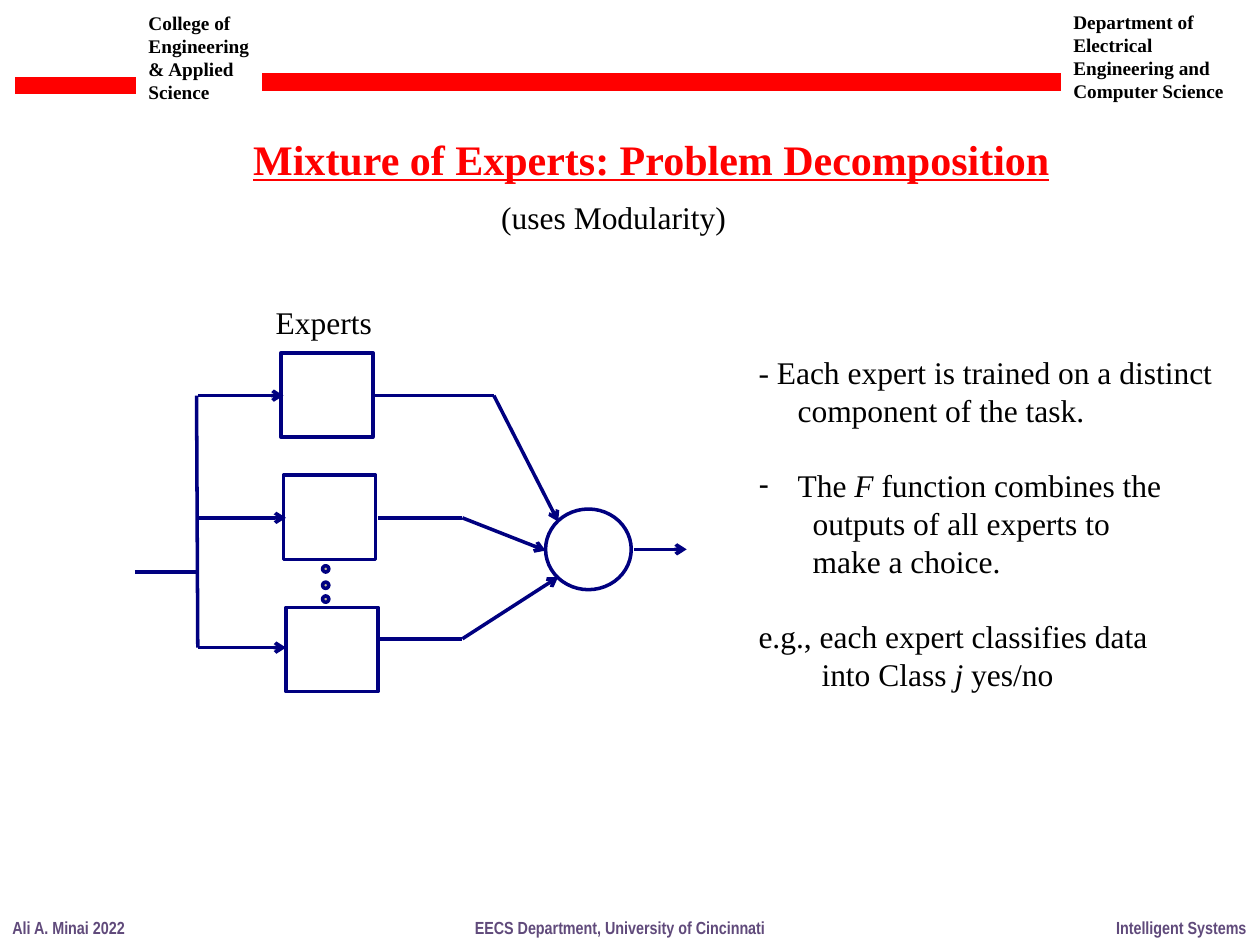
from lxml.etree import SubElement
from pptx import Presentation
from pptx.dml.color import RGBColor
from pptx.enum.shapes import MSO_CONNECTOR, MSO_SHAPE
from pptx.enum.text import MSO_ANCHOR, MSO_AUTO_SIZE, PP_ALIGN
from pptx.oxml.ns import qn
from pptx.util import Inches, Pt

RED = RGBColor(0xFF, 0x00, 0x00)
NAVY = RGBColor(0x00, 0x00, 0x80)
BLACK = RGBColor(0x00, 0x00, 0x00)
PURPLE = RGBColor(0x60, 0x4A, 0x7B)
TAN = RGBColor(0xC4, 0xBD, 0x97)
SERIF = "Times New Roman"

prs = Presentation()
prs.slide_width, prs.slide_height = Inches(10), Inches(7.5)
slide = prs.slides.add_slide(prs.slide_layouts[1])
shapes = slide.shapes


def write(box, at, lines, size, color, bold=False, name=SERIF, wrap=False):
    """Place a text box or placeholder and fill it, one paragraph a line."""
    box.left, box.top, box.width, box.height = [Inches(v) for v in at]
    frame = box.text_frame
    frame.text = "\n".join(lines)
    frame.word_wrap = wrap
    frame.auto_size = MSO_AUTO_SIZE.NONE
    frame.vertical_anchor = MSO_ANCHOR.TOP
    for para in frame.paragraphs:
        para.alignment = PP_ALIGN.LEFT
        font = para.font
        font.name, font.size, font.bold = name, Pt(size), bold
        font.color.rgb = color
    return frame


def link(x1, y1, x2, y2, color=NAVY, width=2, arrow=False):
    """Draw a straight line, with an arrowhead at its end if asked."""
    line = shapes.add_connector(MSO_CONNECTOR.STRAIGHT, Inches(x1), Inches(y1),
                                Inches(x2), Inches(y2))
    line.line.color.rgb = color
    line.line.width = Pt(width)
    if arrow:
        SubElement(line.line._get_or_add_ln(), qn("a:tailEnd"), type="arrow")
    SubElement(line._element.spPr, qn("a:effectLst"))


# Header: names and red bars
heads = [
    ((1.08, 0.04, 1.09, 0.84), ["College of  Engineering & Applied", "Science"]),
    ((8.42, 0.03, 1.47, 0.84),
     ["Department of Electrical Engineering and Computer Science"]),
]
for at, lines in heads:
    write(shapes.add_textbox(0, 0, 0, 0), at, lines, 11, BLACK, True, wrap=True)
link(0.12, 0.68, 1.08, 0.68, RED, 10)
link(2.08, 0.65, 8.42, 0.65, RED, 10)

# Footer
feet = [(0, 1.1, "Ali A. Minai 2022"),
        (3.67, 2.52, "EECS Department, University of Cincinnati"),
        (8.76, 1.24, "Intelligent Systems")]
for x, wide, text in feet:
    write(shapes.add_textbox(0, 0, 0, 0), (x, 7.23, wide, 0.27), [text],
          10, PURPLE, True, "Arial Narrow")

# Title, subtitle and diagram label
title = write(shapes.title, (1.91, 1.01, 6.58, 0.5),
              ["Mixture of Experts: Problem Decomposition"], 24, RED, True)
title.paragraphs[0].font.underline = True
for at, text in [((3.88, 1.52, 2.07, 0.4), "(uses Modularity)"),
                 ((2.09, 2.36, 0.97, 0.4), "Experts")]:
    write(shapes.add_textbox(0, 0, 0, 0), at, [text], 18, BLACK)

# Notes list: left margin, space before, bullet, runs (every second is italic)
notes = [
    (0, 0, False, ["- Each expert is trained on a distinct"]),
    (0.31, 0, False, ["component of the task."]),
    (0.31, 21.5, True, ["The ", "F", " function combines the"]),
    (0.43, 0, False, ["outputs of all experts to"]),
    (0.43, 0, False, ["make a choice."]),
    (0, 21.5, False, ["e.g., each expert classifies data"]),
    (0.5, 0, False, ["into Class ", "j", " yes/no"]),
]
body = slide.placeholders[1].text_frame
for i, (left, space, dash, runs) in enumerate(notes):
    para = body.paragraphs[0] if i == 0 else body.add_paragraph()
    props = para._p.get_or_add_pPr()
    props.set("marL", str(Inches(left)))
    props.set("indent", str(-Inches(left) if dash else 0))
    if dash:
        SubElement(props, qn("a:buChar"), char="-")
    else:
        SubElement(props, qn("a:buNone"))
    para.space_before = Pt(space)
    para.font.name, para.font.size = SERIF, Pt(18)
    para.font.color.rgb = BLACK
    for j, text in enumerate(runs):
        run = para.add_run()
        run.text = text
        if j % 2:
            run.font.italic = True
body.word_wrap = False
body.auto_size = MSO_AUTO_SIZE.NONE
body.vertical_anchor = MSO_ANCHOR.TOP
box = slide.placeholders[1]
box.left, box.top = Inches(5.92), Inches(2.75)
box.width, box.height = Inches(3.84), Inches(2.83)

# Experts, dots between them and the combining node
RECT, OVAL = MSO_SHAPE.RECTANGLE, MSO_SHAPE.OVAL
nodes = [(RECT, x, y, 0.73, 0.67, None)
         for x, y in [(2.23, 2.8), (2.25, 3.77), (2.27, 4.82)]]
nodes += [(OVAL, 2.56, y, 0.05, 0.05, TAN) for y in (4.49, 4.62, 4.73)]
nodes.append((OVAL, 4.33, 4.04, 0.68, 0.64, None))
for kind, x, y, wide, high, fill in nodes:
    node = shapes.add_shape(kind, Inches(x), Inches(y), Inches(wide), Inches(high))
    node.shadow.inherit = False
    node.line.color.rgb = NAVY
    node.line.width = Pt(2)
    if fill:
        node.fill.solid()
        node.fill.fore_color.rgb = fill
    else:
        node.fill.background()

# Input, trunk and output
link(1.07, 4.54, 1.56, 4.54)
link(1.56, 3.14, 1.57, 5.14)
link(5.03, 4.36, 5.45, 4.36, arrow=True)

# Each branch: input height, expert sides, output height, bend, node contact
paths = [(1.57, 3.14, 2.25, 2.97, 3.14, 3.92, 4.43, 4.14),
         (1.57, 4.11, 2.27, 3, 4.11, 3.67, 4.33, 4.37),
         (1.57, 5.14, 2.27, 3, 5.07, 3.67, 4.43, 4.58)]
for start, y_in, near, far, y_out, bend, x_end, y_end in paths:
    link(start, y_in, near, y_in, arrow=True)
    link(far, y_out, bend, y_out)
    link(bend, y_out, x_end, y_end, arrow=True)

prs.save("out.pptx")
